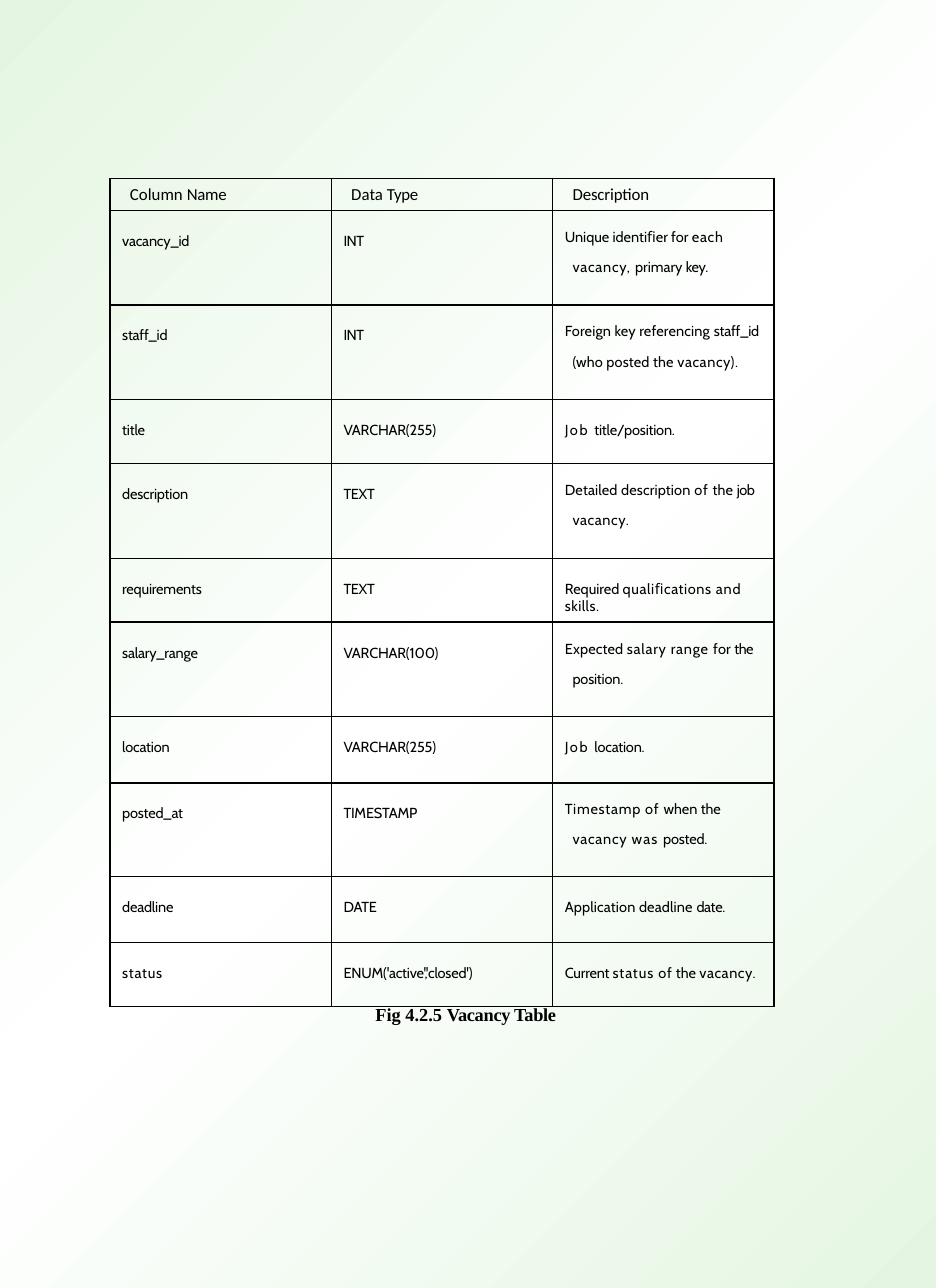
"""Build the vacancy table slide with its caption and gradient background."""
from copy import deepcopy
from typing import NamedTuple

from pptx import Presentation
from pptx.dml.color import RGBColor
from pptx.oxml import parse_xml
from pptx.oxml.ns import nsdecls, qn
from pptx.util import Inches, Pt

BLACK = RGBColor(0x00, 0x00, 0x00)
WHITE = RGBColor(0xFF, 0xFF, 0xFF)
MINT = RGBColor(0xE4, 0xF6, 0xE2)
PAGE_HEIGHT_PT = 842
BORDER_PT = 0.96
COL_WIDTH = 2.01


class Span(NamedTuple):
    text: str
    spc: float = -0.1


class Style(NamedTuple):
    font: str
    size: float
    left: float
    indent: float = 0
    top: float = 0.05
    line_spacing: float = 1
    bold: bool = False


class Row(NamedTuple):
    height: float
    name: Span
    kind: Span
    description: list[Span]
    hanging: bool = False


HEADER = Style("Calibri", 11, 0.08)
PLAIN = Style("Cabin", 9.5, 0.01, top=0.2)
HANGING = Style("Cabin", 9.5, 0.08, indent=-0.07, line_spacing=1.71)
CAPTION = Style("Times New Roman", 12, 0.01, bold=True)

HEADINGS = [
    [Span("Column ", 0), Span("Name", -0.2)],
    [Span("Data ", 0), Span("Type", -0.2)],
    [Span("Description")],
]
ROWS = [
    Row(0.86, Span("vacancy_id"), Span("INT", -0.3),
        [Span("Unique identiﬁer for ", 0), Span("each vacancy, ", 0.5),
         Span("primary ", 0), Span("key.", -0.2)], True),
    Row(0.86, Span("staff_id"), Span("INT", -0.3),
        [Span("Foreign key referencing ", 0.1), Span("staff_id "),
         Span("(who posted the ", 0.1), Span("vacancy).", 0.4)], True),
    Row(0.58, Span("title"), Span("VARCHAR(255)"),
        [Span("Job ", 1.1), Span("title/position.")]),
    Row(0.86, Span("description"), Span("TEXT", -0.2),
        [Span("Detailed description ", 0.1), Span("of ", 0.5), Span("the ", 0.1),
         Span("job ", -0.3), Span("vacancy.", 0.4)], True),
    Row(0.58, Span("requirements"), Span("TEXT", -0.2),
        [Span("Required ", 0), Span("qualiﬁcations ", 0.4),
         Span("and ", 0.6), Span("skills.", 0.3)]),
    Row(0.86, Span("salary_range"), Span("VARCHAR(100)"),
        [Span("Expected ", 0.1), Span("salary range ", 0.5), Span("for ", 0.1),
         Span("the ", -0.3), Span("position.")], True),
    Row(0.6, Span("location"), Span("VARCHAR(255)"),
        [Span("Job ", 1.1), Span("location.")]),
    Row(0.85, Span("posted_at"), Span("TIMESTAMP"),
        [Span("Timestamp of ", 0.5), Span("when the ", 0), Span("vacancy ", 0.5),
         Span("was ", 0.8), Span("posted.")], True),
    Row(0.6, Span("deadline"), Span("DATE", -0.2),
        [Span("Application deadline ", 0.1), Span("date.", -0.2)]),
    Row(0.58, Span("status", 0.5), Span("ENUM('active','closed')"),
        [Span("Current "), Span("status ", 0.6), Span("of", 0.5),
         Span(" the ", 0), Span("vacancy.", 0.4)]),
]


def write(tf, spans: list[Span], style: Style) -> None:
    p = tf.paragraphs[0]
    p.line_spacing = style.line_spacing
    pPr = p._p.get_or_add_pPr()
    pPr.set("marL", str(Inches(style.left)))
    pPr.set("indent", str(Inches(style.indent)))
    for span in spans:
        r = p.add_run()
        r.text = span.text
        r.font.name = style.font
        r.font.size = Pt(style.size)
        r.font.bold = style.bold
        r.font.color.rgb = BLACK
        r._r.get_or_add_rPr().set("spc", str(round(span.spc * 100)))


def add_borders(cell) -> None:
    tcPr = cell._tc.get_or_add_tcPr()
    for i, side in enumerate(("lnL", "lnR", "lnT", "lnB")):
        tcPr.insert(i, parse_xml(
            f'<a:{side} {nsdecls("a")} w="{Pt(BORDER_PT)}"><a:solidFill>'
            f'<a:srgbClr val="{BLACK}"/></a:solidFill></a:{side}>'))


def fill_cell(cell, spans: list[Span], style: Style) -> None:
    cell.fill.background()
    cell.margin_left = cell.margin_right = Inches(0.1)
    cell.margin_top = Inches(style.top)
    cell.margin_bottom = Inches(0.05)
    write(cell.text_frame, spans, style)
    add_borders(cell)


def add_vacancy_table(s) -> None:
    heights = [0.25] + [row.height for row in ROWS]
    table = s.shapes.add_table(len(heights), 3, Inches(1), Inches(1.62),
                               Inches(3 * COL_WIDTH), Inches(sum(heights))).table
    table.first_row = table.horz_banding = False
    for column in table.columns:
        column.width = Inches(COL_WIDTH)
    for table_row, height in zip(table.rows, heights):
        table_row.height = Inches(height)
    for c, spans in enumerate(HEADINGS):
        fill_cell(table.cell(0, c), spans, HEADER)
    for i, row in enumerate(ROWS, start=1):
        fill_cell(table.cell(i, 0), [row.name], PLAIN)
        fill_cell(table.cell(i, 1), [row.kind], PLAIN)
        fill_cell(table.cell(i, 2), row.description,
                  HANGING if row.hanging else PLAIN)


def add_caption(s) -> None:
    tf = s.shapes.add_textbox(Inches(3.4), Inches(9.11), Inches(1.7),
                              Inches(0.21)).text_frame
    tf.word_wrap = True
    tf.margin_left = tf.margin_right = tf.margin_top = tf.margin_bottom = 0
    write(tf, [Span("Fig 4.2.5 ", 0), Span("Vacancy Table", -0.2)], CAPTION)


def paint_background(s) -> None:
    fill = s.background.fill
    fill.gradient()
    fill.gradient_angle = 315
    stops = s.element.find(".//" + qn("a:gsLst"))
    stops.insert(1, deepcopy(stops[0]))
    for stop, position, color in zip(fill.gradient_stops, (0, 0.5, 1),
                                     (MINT, WHITE, MINT)):
        stop.position = position
        stop.color.rgb = color


def main() -> None:
    prs = Presentation()
    prs.slide_width, prs.slide_height = Inches(8.5), Pt(PAGE_HEIGHT_PT)
    s = prs.slides.add_slide(prs.slide_layouts[6])
    paint_background(s)
    add_vacancy_table(s)
    add_caption(s)
    prs.save("out.pptx")


if __name__ == "__main__":
    main()
